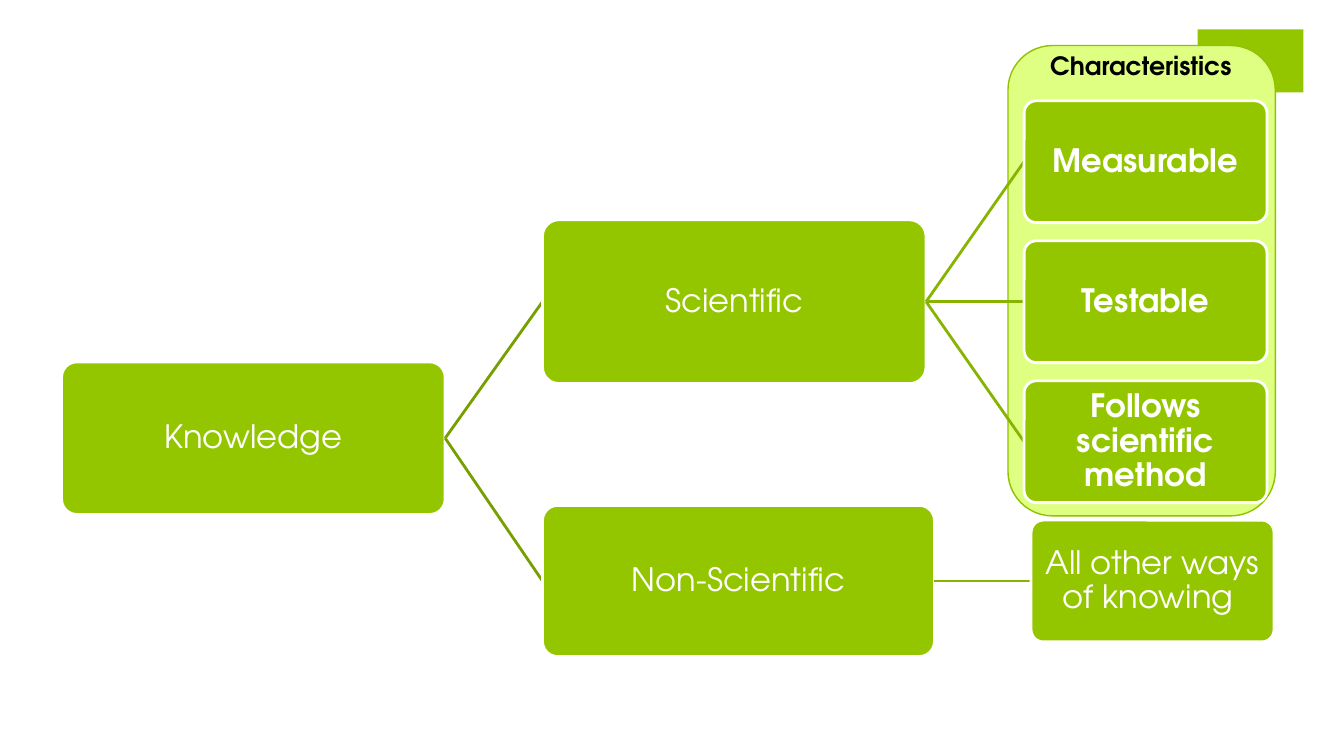
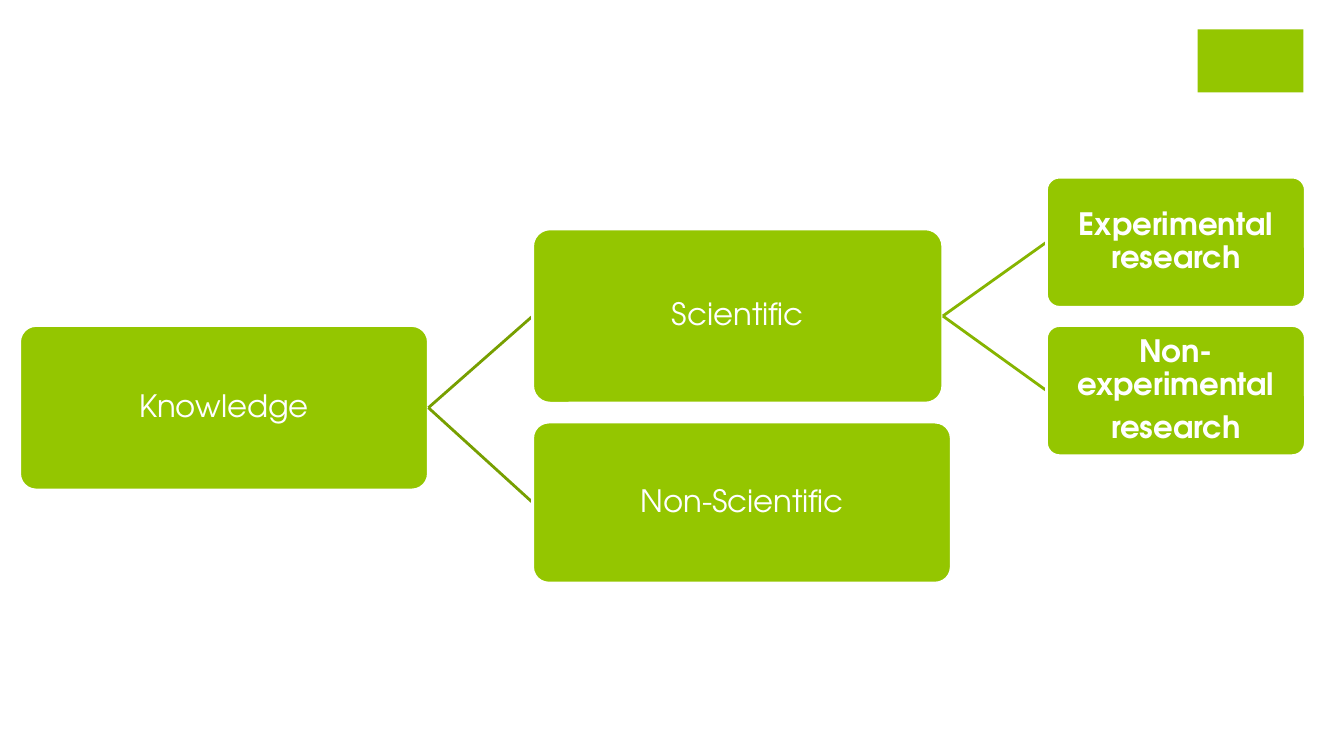
from dataclasses import dataclass

from lxml import etree
from pptx import Presentation
from pptx.dml.color import RGBColor
from pptx.enum.shapes import MSO_CONNECTOR, MSO_SHAPE
from pptx.enum.text import MSO_ANCHOR, PP_ALIGN
from pptx.oxml.ns import qn
from pptx.util import Pt

# Shared look
FONT = "TeX Gyre Adventor"
GREEN, PALE_GREEN, PANEL_EDGE = "94C600", "DFFF82", "91C200"
WHITE, BLACK = "FFFFFF", "000000"
BRANCH_COLORS = ("779F00", "86B400")  # by depth in the tree
LEFT_SIDE, RIGHT_SIDE = 1, 3  # connection sites of a box


@dataclass
class Topic:
    text: str
    box: tuple  # left, top, width, height relative to the tree
    bold: bool = False
    children: tuple = ()


def rgb(color):
    return RGBColor.from_string(color)


def add_block(slide, kind, box, fill, edge=None, edge_width=0):
    block = slide.shapes.add_shape(kind, *map(Pt, box))
    block.shadow.inherit = False
    block.fill.solid()
    block.fill.fore_color.rgb = rgb(fill)
    if edge:
        block.line.color.rgb = rgb(edge)
        block.line.width = Pt(edge_width)
    else:
        block.line.fill.background()
    return block


def format_font(paragraph, size, color, bold):
    for run in paragraph.runs:
        run.font.name = FONT
        run.font.size = Pt(size)
        run.font.color.rgb = rgb(color)
        run.font.bold = bold


def add_topic_box(slide, box, topic, size):
    topic_box = add_block(slide, MSO_SHAPE.ROUNDED_RECTANGLE, box, GREEN, WHITE, 2)
    topic_box.adjustments[0] = 0.1
    frame = topic_box.text_frame
    frame.word_wrap = True
    frame.vertical_anchor = MSO_ANCHOR.MIDDLE
    frame.margin_left = frame.margin_right = Pt(1.4)
    frame.margin_top = frame.margin_bottom = Pt(1.4)
    frame.text = topic.text
    for paragraph in frame.paragraphs:
        paragraph.alignment = PP_ALIGN.CENTER
        paragraph.line_spacing = 0.9
        format_font(paragraph, size, WHITE, topic.bold)
    for paragraph in frame.paragraphs[:-1]:
        paragraph.space_after = Pt(7)
    return topic_box


def add_branch(slide, color):
    branch = slide.shapes.add_connector(MSO_CONNECTOR.STRAIGHT, 0, 0, 0, 0)
    branch.line.color.rgb = rgb(color)
    branch.line.width = Pt(2)
    etree.SubElement(branch._element.spPr, qn("a:effectLst"))
    return branch


def add_tree(slide, origin, topic, size, depth=0):
    """Draw a topic and, to its right, everything that branches from it."""
    left, top, width, height = topic.box
    box = (origin[0] + left, origin[1] + top, width, height)
    parent_box = add_topic_box(slide, box, topic, size)
    for child in topic.children:
        branch = add_branch(slide, BRANCH_COLORS[depth])  # lies under the child
        child_box = add_tree(slide, origin, child, size, depth + 1)
        branch.begin_connect(parent_box, RIGHT_SIDE)
        branch.end_connect(child_box, LEFT_SIDE)
    return parent_box


def add_panel(slide, box):
    add_block(slide, MSO_SHAPE.ROUNDED_RECTANGLE, box, PALE_GREEN, PANEL_EDGE, 1)


def add_panel_heading(slide, panel, text):
    left, top, width, _ = panel
    heading = slide.shapes.add_textbox(
        Pt(left + 23), Pt(top), Pt(width - 46), Pt(29))
    heading.text_frame.word_wrap = False
    heading.text_frame.text = text
    format_font(heading.text_frame.paragraphs[0], 18, BLACK, True)


def add_base_slide(prs):
    slide = prs.slides.add_slide(prs.slide_layouts[6])
    # Corner band
    add_block(slide, MSO_SHAPE.RECTANGLE, (855.5, 21, 75.5, 45), GREEN)
    return slide


def build_characteristics(prs):
    slide = add_base_slide(prs)
    panel = (720, 32.5, 191, 336)
    add_panel(slide, panel)
    # Leaves stand at an equal pitch
    traits = ("Measurable", "Testable", "Follows scientific method")
    leaf_width, leaf_height, pitch = 173.5, 87, 100
    scientific = Topic("Scientific", (343.5, 85, 274, 117), children=tuple(
        Topic(trait, (687.5, row * pitch, leaf_width, leaf_height), bold=True)
        for row, trait in enumerate(traits)))
    other = Topic("All other ways of knowing ",
                  (692.5, len(traits) * pitch - 0.5, leaf_width, leaf_height))
    non_scientific = Topic("Non-Scientific", (343.5, 289, 280, 108),
                           children=(other,))
    knowledge = Topic("Knowledge", (0, 186.5, 274, 109),
                      children=(scientific, non_scientific))
    add_tree(slide, (44, 72), knowledge, 23)
    add_panel_heading(slide, panel, "Characteristics")


def build_research_types(prs):
    slide = add_base_slide(prs)
    kinds = ("Experimental research", "Non-experimental\nresearch")
    scientific = Topic("Scientific", (366.5, 37, 293, 124.5), children=tuple(
        Topic(kind, (733.5, row * 106, 185, 93), bold=True)
        for row, kind in enumerate(kinds)))
    non_scientific = Topic("Non-Scientific", (366.5, 175, 299, 115))
    knowledge = Topic("Knowledge", (0, 106, 292, 117.5),
                      children=(scientific, non_scientific))
    add_tree(slide, (14, 126.5), knowledge, 22)


def main():
    prs = Presentation()
    prs.slide_width, prs.slide_height = Pt(960), Pt(540)
    build_characteristics(prs)
    build_research_types(prs)
    prs.save("out.pptx")


if __name__ == "__main__":
    main()
